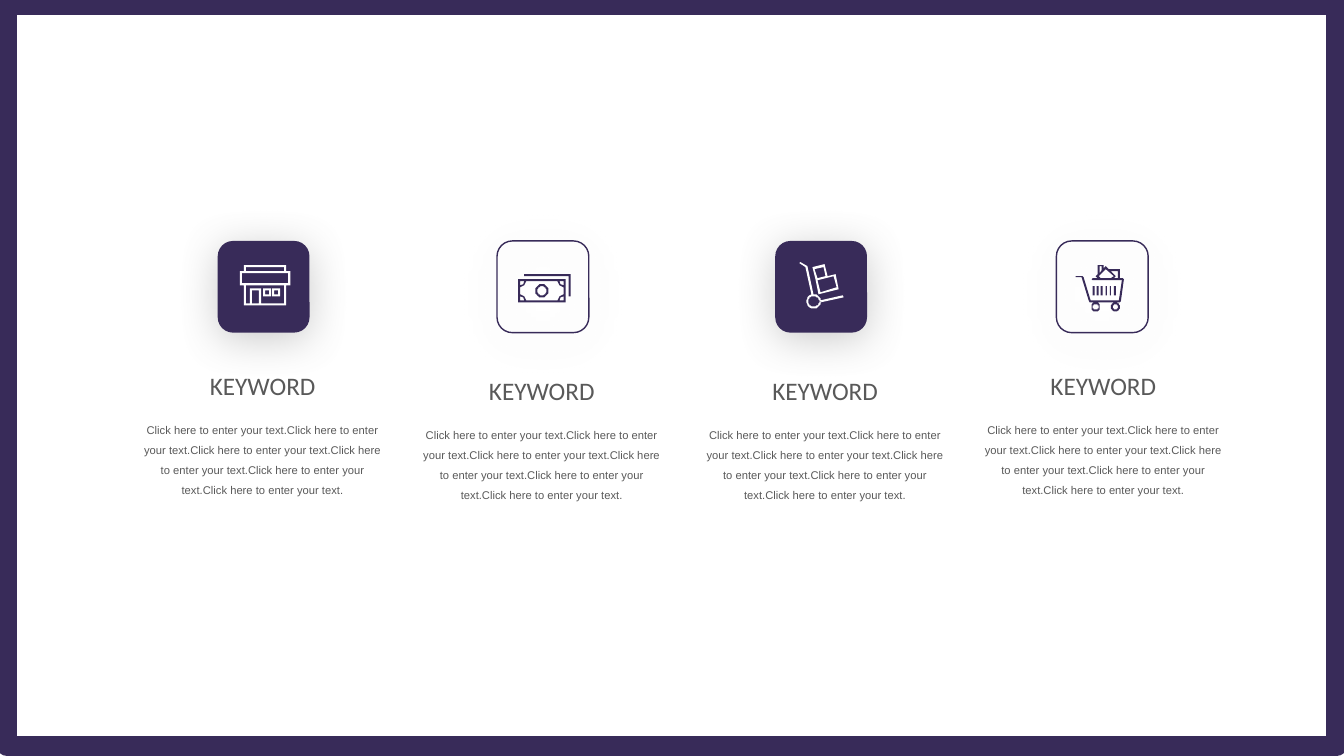
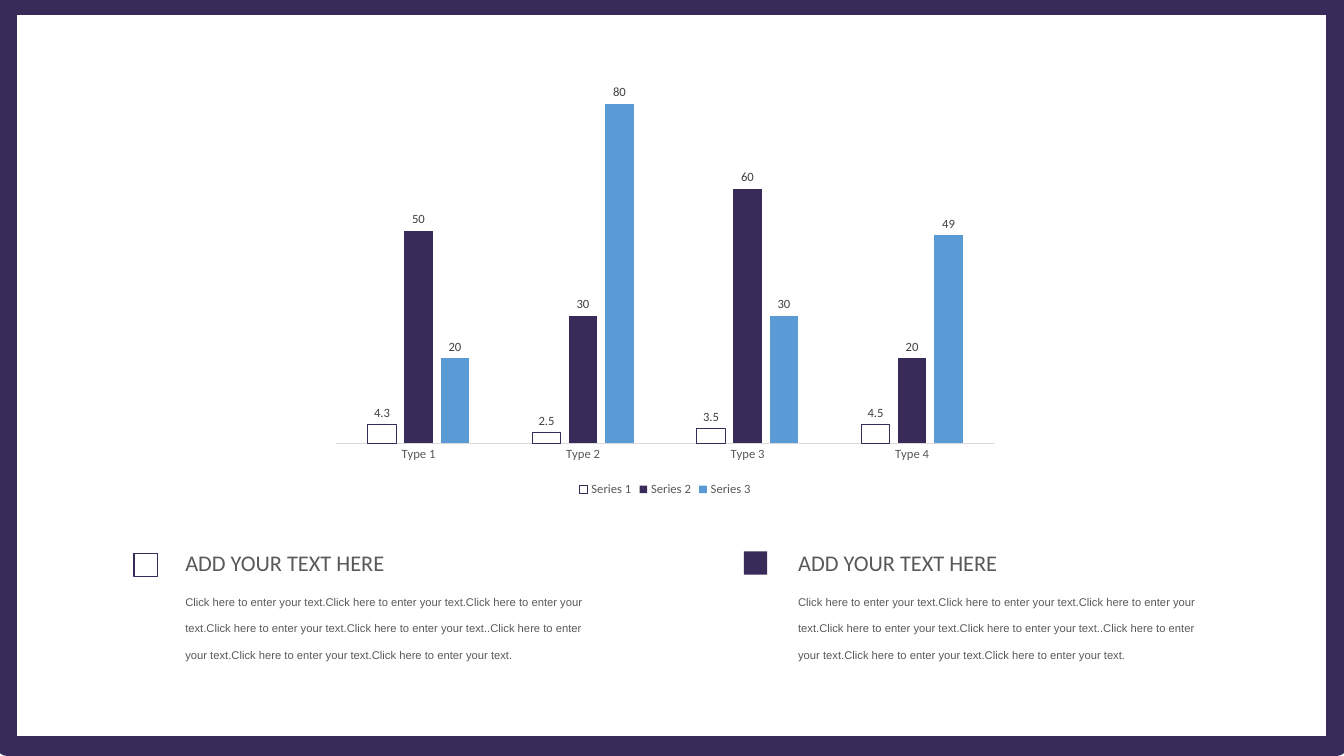
import math
from dataclasses import dataclass
from typing import Optional

import lxml.etree
import pptx
import pptx.chart.data
import pptx.dml.color
import pptx.enum.chart
import pptx.enum.shapes
import pptx.enum.text
import pptx.oxml.ns
import pptx.util

Color = pptx.dml.color.RGBColor
Align = pptx.enum.text.PP_ALIGN
Anchor = pptx.enum.text.MSO_ANCHOR
ShapeKind = pptx.enum.shapes.MSO_SHAPE
Contour = list[tuple[float, float]]

PURPLE = Color(0x38, 0x2B, 0x59)
BLUE = Color(0x5B, 0x9B, 0xD5)
WHITE = Color(0xFF, 0xFF, 0xFF)
BLACK = Color(0x00, 0x00, 0x00)
TEXT_GRAY = Color(0x59, 0x59, 0x59)
LABEL_GRAY = Color(0x40, 0x40, 0x40)
AXIS_GRAY = Color(0xD9, 0xD9, 0xD9)
SHADOW_GRAY = "808080"

WIDTH = pptx.util.Inches(13.333)
HEIGHT = pptx.util.Inches(7.5)
COLUMN = WIDTH / 100
ROW = HEIGHT / 100
ICON_UNIT = pptx.util.Inches(0.01)

HEADING_FONT = "Calibri"
BODY_FONT = "Arial"
SENTENCE = "Click here to enter your text."


@dataclass(frozen=True)
class Area:
    left: float
    top: float
    width: float
    height: float

    def lengths(self) -> tuple[int, int, int, int]:
        return (round(self.left * COLUMN), round(self.top * ROW),
                round(self.width * COLUMN), round(self.height * ROW))


@dataclass(frozen=True)
class Icon:
    inset_x: int
    inset_y: int
    contours: list[Contour]


@dataclass(frozen=True)
class Feature:
    tile_left: float
    text_left: float
    text_top: float
    solid: bool
    icon: Icon


@dataclass(frozen=True)
class Note:
    text_left: float
    marker_left: float
    marker_top: float
    solid: bool


@dataclass(frozen=True)
class Bars:
    name: str
    values: tuple[float, ...]
    fill: Optional[Color]


def block(left: float, top: float, right: float, bottom: float) -> Contour:
    return [(left, top), (right, top), (right, bottom), (left, bottom)]


def ring(x: float, y: float, outer: float, inner: float) -> list[Contour]:
    turns = [math.tau * step / 32 for step in range(32)]
    return [[(x + radius * math.cos(turn), y + radius * math.sin(turn))
             for turn in turns] for radius in (outer, inner)]


def banknote_corners() -> list[Contour]:
    corner = [(2, 7), (6, 7), (5, 10), (2, 11)]
    return [[(47 - x if flip_x else x, 33 - y if flip_y else y) for x, y in corner]
            for flip_x in (False, True) for flip_y in (False, True)]


STORE = Icon(22, 24, [
    [(46, 6), (46, 0), (4, 0), (4, 6), (0, 6), (0, 20), (4, 20), (4, 40),
     (46, 40), (46, 20), (50, 20), (50, 6)],
    block(6, 2, 44, 6),
    block(2, 8, 48, 18),
    [(44, 38), (21, 38), (21, 23), (10, 23), (10, 38), (6, 38), (6, 20), (44, 20)],
    block(12, 25, 19, 38),
    block(23, 23, 31, 31), block(25, 25, 29, 29),
    block(32, 23, 40, 31), block(34, 25, 38, 29),
])
MONEY = Icon(21, 33, [
    block(0, 5, 47, 28),
    [(2, 13), (6, 11), (8, 7), (39, 7), (41, 11), (45, 13),
     (45, 20), (41, 22), (39, 26), (8, 26), (6, 22), (2, 20)],
    *banknote_corners(),
    [(6, 0), (6, 2), (50, 2), (50, 22), (52, 22), (52, 0)],
    *ring(23.5, 16.5, 6.5, 4.5),
])
TROLLEY = Icon(24, 21, [
    [(14, 32), (8, 4), (1, 0), (0, 1), (6, 5), (12, 32)],
    [(43, 33), (21, 38), (21, 40), (44, 35)],
    *ring(14.3, 39, 7.2, 5.4),
    [(16, 17), (19, 32), (39, 27), (36, 12), (28, 14), (25, 2), (13, 5)],
    [(34, 14), (37, 25), (21, 30), (18, 18)],
    [(15, 7), (24, 5), (26, 14), (18, 16)],
])
CART = Icon(19, 24, [
    [(47, 13), (44, 13), (44, 4), (33, 4), (30, 1), (28, 3), (28, 0), (22, 0),
     (22, 9), (20, 11), (22, 13), (17, 13), (16, 14), (17, 15), (46, 15),
     (43, 35), (15, 35), (8, 12), (7, 11), (0, 11), (0, 12), (6, 12),
     (13, 35), (14, 37), (44, 37), (45, 36), (48, 14)],
    [(24, 1), (26, 1), (26, 5), (24, 8)],
    [(35, 13), (25, 13), (23, 11), (30, 4), (38, 11)],
    [(42, 13), (38, 13), (40, 11), (35, 6), (42, 6)],
    *[block(17 + 4.2 * bar, 21, 18.6 + 4.2 * bar, 30) for bar in range(6)],
    *ring(20, 41.5, 4.5, 2.8),
    *ring(39.5, 41.5, 4.5, 2.8),
])

FEATURES = [
    Feature(16.2, 9.83, 48.27, True, STORE),
    Feature(36.98, 30.6, 48.93, False, MONEY),
    Feature(57.68, 51.68, 48.93, True, TROLLEY),
    Feature(78.6, 72.38, 48.27, False, CART),
]
NOTES = [
    Note(13.05, 9.98, 73.2, False),
    Note(58.65, 55.35, 72.93, True),
]
CATEGORIES = ["Type 1", "Type 2", "Type 3", "Type 4"]
SERIES = [
    Bars("Series 1", (4.3, 2.5, 3.5, 4.5), None),
    Bars("Series 2", (50, 30, 60, 20), PURPLE),
    Bars("Series 3", (20, 80, 30, 49), BLUE),
]


def add_text(page, area: Area, text: str, *, size: float, font: str = HEADING_FONT,
             color: Color = TEXT_GRAY, align: Align = Align.LEFT,
             anchor: Anchor = Anchor.TOP, spacing: float = 1.0,
             wrap: bool = True) -> None:
    frame = page.shapes.add_textbox(*area.lengths()).text_frame
    frame.word_wrap = wrap
    frame.auto_size = pptx.enum.text.MSO_AUTO_SIZE.SHAPE_TO_FIT_TEXT
    frame.vertical_anchor = anchor
    para = frame.paragraphs[0]
    para.alignment = align
    para.line_spacing = spacing
    span = para.add_run()
    span.text = text
    style_font(span.font, size, color, font)


def style_font(font, size: float, color: Color, name: str = HEADING_FONT) -> None:
    font.size = pptx.util.Pt(size)
    font.name = name
    font.color.rgb = color


def add_box(page, kind: ShapeKind, area: Area, *, fill: Optional[Color] = None,
            line_width: float = 1):
    box = page.shapes.add_shape(kind, *area.lengths())
    box.shadow.inherit = False
    if fill is None:
        box.fill.background()
        box.line.color.rgb = PURPLE
        box.line.width = pptx.util.Pt(line_width)
    else:
        box.fill.solid()
        box.fill.fore_color.rgb = fill
        box.line.fill.background()
    return box


def add_soft_shadow(box) -> None:
    qualified = pptx.oxml.ns.qn
    effects = box.element.spPr.find(qualified("a:effectLst"))
    shadow = lxml.etree.SubElement(
        effects, qualified("a:outerShdw"), blurRad=str(pptx.util.Pt(30)),
        dist=str(pptx.util.Pt(5)), dir="5400000", algn="t", rotWithShape="0")
    tone = lxml.etree.SubElement(shadow, qualified("a:srgbClr"), val=SHADOW_GRAY)
    lxml.etree.SubElement(tone, qualified("a:alpha"), val="40000")


def add_icon(page, icon: Icon, tile, color: Color) -> None:
    first, *others = icon.contours
    builder = page.shapes.build_freeform(*first[0], scale=ICON_UNIT)
    builder.add_line_segments(first[1:], close=True)
    for contour in others:
        builder.move_to(*contour[0])
        builder.add_line_segments(contour[1:], close=True)
    drawing = builder.convert_to_shape(tile.left + icon.inset_x * ICON_UNIT,
                                       tile.top + icon.inset_y * ICON_UNIT)
    drawing.shadow.inherit = False
    drawing.fill.solid()
    drawing.fill.fore_color.rgb = color
    drawing.line.fill.background()


def add_feature(page, feature: Feature) -> None:
    tile = add_box(page, ShapeKind.ROUNDED_RECTANGLE,
                   Area(feature.tile_left, 31.87, 6.83, 12.13),
                   fill=PURPLE if feature.solid else None)
    add_soft_shadow(tile)
    add_icon(page, feature.icon, tile, WHITE if feature.solid else PURPLE)
    add_text(page, Area(feature.text_left, feature.text_top + 6.13, 19.43, 12.13),
             SENTENCE * 6, size=8, font=BODY_FONT, align=Align.CENTER, spacing=1.5)
    add_text(page, Area(feature.text_left + 1.95, feature.text_top, 15.53, 5.33),
             "KEYWORD", size=18, align=Align.CENTER, anchor=Anchor.MIDDLE)


def add_note(page, note: Note) -> None:
    add_text(page, Area(note.text_left, 72, 16.35, 4.93), "ADD YOUR TEXT HERE",
             size=16, wrap=False)
    add_text(page, Area(note.text_left, 76.27, 31.13, 12.13),
             SENTENCE * 5 + "." + SENTENCE * 3, size=8, font=BODY_FONT, spacing=2.0)
    add_box(page, ShapeKind.RECTANGLE,
            Area(note.marker_left, note.marker_top, 1.73, 3.07),
            fill=PURPLE if note.solid else None)


def add_bar_chart(page, area: Area) -> None:
    data = pptx.chart.data.CategoryChartData()
    data.categories = CATEGORIES
    for bars in SERIES:
        data.add_series(bars.name, bars.values)
    chart = page.shapes.add_chart(pptx.enum.chart.XL_CHART_TYPE.COLUMN_CLUSTERED,
                                  *area.lengths(), data).chart
    style_font(chart.font, 10, BLACK)
    chart.has_title = False
    chart.has_legend = True
    chart.legend.position = pptx.enum.chart.XL_LEGEND_POSITION.BOTTOM
    chart.legend.include_in_layout = False
    style_font(chart.legend.font, 9, TEXT_GRAY)
    chart.value_axis.visible = False
    chart.value_axis.has_major_gridlines = False
    axis = chart.category_axis
    axis.major_tick_mark = pptx.enum.chart.XL_TICK_MARK.NONE
    axis.format.line.color.rgb = AXIS_GRAY
    axis.format.line.width = pptx.util.Pt(0.75)
    style_font(axis.tick_labels.font, 9, TEXT_GRAY)
    plot = chart.plots[0]
    plot.gap_width = 219
    plot.overlap = -27
    plot.vary_by_categories = False
    for bars, series in zip(SERIES, plot.series):
        if bars.fill is None:
            series.format.fill.background()
            series.format.line.color.rgb = PURPLE
            series.format.line.width = pptx.util.Pt(0.75)
        else:
            series.format.fill.solid()
            series.format.fill.fore_color.rgb = bars.fill
        labels = series.data_labels
        labels.show_value = True
        labels.position = pptx.enum.chart.XL_LABEL_POSITION.OUTSIDE_END
        style_font(labels.font, 9, LABEL_GRAY)


def build_deck() -> None:
    deck = pptx.Presentation()
    deck.slide_width, deck.slide_height = WIDTH, HEIGHT
    blank = deck.slide_layouts[6]
    features_page, chart_page = (deck.slides.add_slide(blank) for _ in range(2))

    border = add_box(features_page, ShapeKind.RECTANGLE,
                     Area(0.53, 0.67, 98.93, 98), line_width=14.75)
    blank.shapes.element.append(border.element)

    for feature in FEATURES:
        add_feature(features_page, feature)

    add_bar_chart(chart_page, Area(24, 6.93, 51, 59.33))
    for note in NOTES:
        add_note(chart_page, note)

    deck.save("out.pptx")


build_deck()
